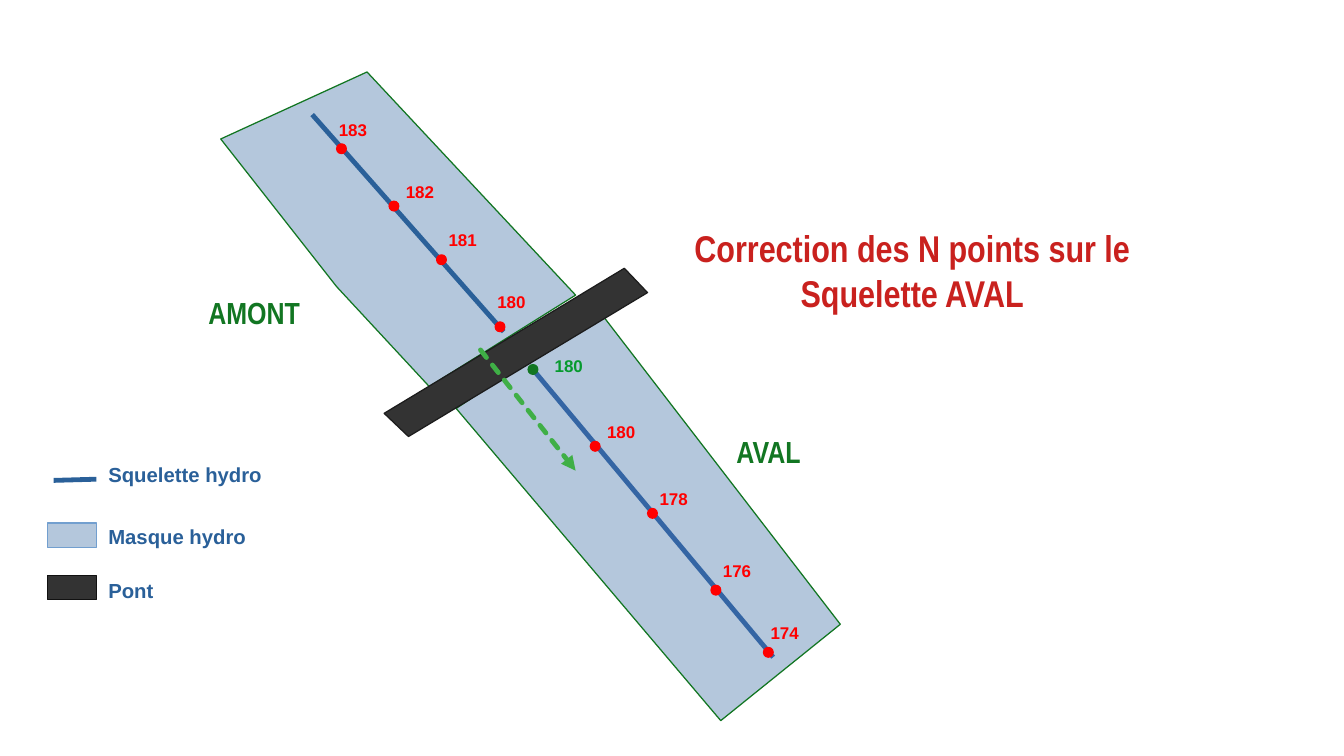
from lxml.etree import SubElement
from pptx import Presentation
from pptx.dml.color import RGBColor
from pptx.enum.dml import MSO_LINE
from pptx.enum.shapes import MSO_CONNECTOR, MSO_SHAPE
from pptx.enum.text import MSO_ANCHOR, PP_ALIGN
from pptx.oxml.ns import qn
from pptx.util import Inches, Pt

COLORS = {
    "water": "B4C7DC", "bank": "127622", "water_edge": "729FCF",
    "bridge": "333333", "bridge_edge": "1C1C1C", "swatch_edge": "111111",
    "upstream": "2A6099", "downstream": "3465A4", "flow": "3FAF46",
    "point": "FF0000", "corrected": "069A2E", "title": "C9211E",
}


def paint(shape, fill, edge):
    """Give a shape a flat fill and a hairline edge."""
    shape.shadow.inherit = False
    shape.fill.solid()
    shape.fill.fore_color.rgb = RGBColor.from_string(COLORS[fill])
    shape.line.color.rgb = RGBColor.from_string(COLORS[edge])
    shape.line.width = Pt(0)


def write(holder, text, size, font, color, wrap=True):
    """Put one bold text at the top of a text box or placeholder."""
    frame = holder.text_frame
    frame.word_wrap = wrap
    frame.vertical_anchor = MSO_ANCHOR.TOP
    frame.text = text
    style = frame.paragraphs[0].runs[0].font
    style.size, style.name, style.bold = Pt(size), font, True
    style.color.rgb = RGBColor.from_string(COLORS[color])


prs = Presentation()
prs.slide_width, prs.slide_height = Inches(11.02), Inches(6.2)
slide = prs.slides.add_slide(prs.slide_layouts[5])
shapes = slide.shapes

title = shapes.title
title.left, title.top = Inches(5.51), Inches(1.8)
title.width, title.height = Inches(3.94), Inches(0.87)
write(title, "Correction des N points sur le Squelette AVAL", 22, "Arial Narrow", "title")
title.text_frame.paragraphs[0].alignment = PP_ALIGN.CENTER

# River mask on both sides of the bridge, then the bridge
outlines = [
    ([(1.81, 1.14), (3.01, 0.59), (4.72, 2.42), (3.52, 3.17), (2.76, 2.35)], "water", "bank"),
    ([(3.74, 3.35), (4.92, 2.56), (6.89, 5.12), (5.91, 5.91)], "water", "bank"),
    ([(3.15, 3.39), (5.12, 2.2), (5.31, 2.4), (3.35, 3.58)], "bridge", "bridge_edge"),
]
for corners, fill, edge in outlines:
    points = [(Inches(x), Inches(y)) for x, y in corners]
    builder = shapes.build_freeform(*points[0])
    builder.add_line_segments(points[1:], close=True)
    paint(builder.convert_to_shape(), fill, edge)

# Skeletons, legend stroke and, last, the flow arrow
strokes = [
    (2.56, 0.94, 4.13, 2.72, "upstream"),
    (4.37, 3.03, 6.34, 5.39, "downstream"),
    (0.44, 3.94, 0.79, 3.93, "upstream"),
    (3.94, 2.87, 4.72, 3.86, "flow"),
]
for *ends, color in strokes:
    stroke = shapes.add_connector(MSO_CONNECTOR.STRAIGHT, *map(Inches, ends))
    stroke.line.color.rgb = RGBColor.from_string(COLORS[color])
    stroke.line.width = Pt(2.83)
    if color == "flow":
        stroke.line.dash_style = MSO_LINE.SQUARE_DOT
        outline = stroke.line._get_or_add_ln()
        outline.set("cap", "rnd")
        outline.find(qn("a:prstDash")).set("val", "sysDash")
        SubElement(outline, qn("a:tailEnd"), type="triangle")
    SubElement(stroke._element.spPr, qn("a:effectLst"))

# Elevation points: value, dot corner, label corner, dot and label colours
DOT = Inches(0.08)
elevations = [
    ("183", 2.76, 1.18, 2.68, 0.93, "point", "point"),
    ("182", 3.19, 1.65, 3.23, 1.44, "point", "point"),
    ("181", 3.58, 2.09, 3.58, 1.83, "point", "point"),
    ("180", 4.06, 2.64, 3.98, 2.34, "point", "point"),
    ("180", 4.33, 2.99, 4.45, 2.87, "bank", "corrected"),
    ("180", 4.84, 3.62, 4.88, 3.41, "point", "point"),
    ("178", 5.31, 4.17, 5.31, 3.96, "point", "point"),
    ("176", 5.83, 4.8, 5.83, 4.55, "point", "point"),
    ("174", 6.26, 5.31, 6.22, 5.06, "point", "point"),
]
for value, dot_x, dot_y, label_x, label_y, dot_color, label_color in elevations:
    dot = shapes.add_shape(MSO_SHAPE.OVAL, Inches(dot_x), Inches(dot_y), DOT, DOT)
    paint(dot, dot_color, dot_color)
    label = shapes.add_textbox(Inches(label_x), Inches(label_y), Inches(0.43), Inches(0.25))
    write(label, value, 10, "Arial", label_color, wrap=False)

# Legend swatches
for top, fill, edge in [(4.29, "water", "water_edge"), (4.72, "bridge", "swatch_edge")]:
    swatch = shapes.add_shape(
        MSO_SHAPE.RECTANGLE, Inches(0.39), Inches(top), Inches(0.4), Inches(0.2))
    paint(swatch, fill, edge)

# Names of the river sides and of the legend entries
captions = [
    ("AMONT", 1.61, 2.36, 0.95, 18, "Arial Narrow", "bank"),
    ("AVAL", 5.94, 3.5, 0.73, 18, "Arial Narrow", "bank"),
    ("Squelette hydro", 0.79, 3.74, 1.97, 12, "Arial", "upstream"),
    ("Masque hydro", 0.79, 4.25, 1.97, 12, "Arial", "upstream"),
    ("Pont", 0.79, 4.69, 1.97, 12, "Arial", "upstream"),
]
for text, left, top, width, size, font, color in captions:
    caption = shapes.add_textbox(Inches(left), Inches(top), Inches(width), Inches(0.39))
    write(caption, text, size, font, color)

prs.save("out.pptx")
